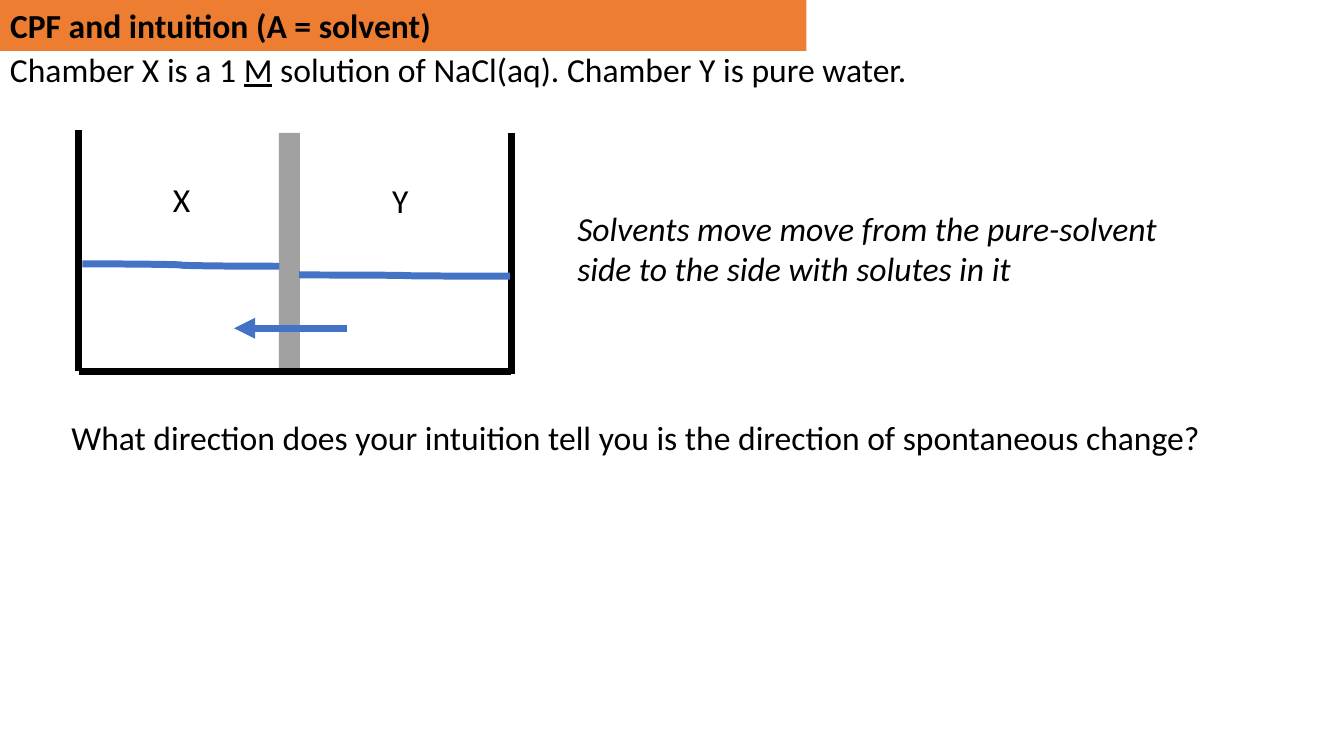
from lxml import etree
from pptx import Presentation
from pptx import util as u
from pptx.dml.color import RGBColor
from pptx.enum import shapes, text
from pptx.oxml.ns import qn

COLOURS = {"ink": "000000", "banner": "ED7D31", "water": "4472C4"}


def write_text(shape, *runs, bold=False, italic=False, underlined=None):
    """Fill a shape with one left-aligned paragraph made of the given runs."""
    frame = shape.text_frame
    frame.word_wrap = True
    frame.auto_size = text.MSO_AUTO_SIZE.NONE
    frame.vertical_anchor = text.MSO_ANCHOR.TOP
    paragraph = frame.paragraphs[0]
    paragraph.alignment = text.PP_ALIGN.LEFT
    for words in runs:
        run = paragraph.add_run()
        run.text = words
        font = run.font
        font.name, font.size = "Calibri", u.Pt(24)
        font.bold, font.italic = bold, italic
        font.underline = words == underlined
        font.color.rgb = RGBColor.from_string(COLOURS["ink"])


def add_title(slide, words, width, height):
    """Turn the title placeholder into the coloured banner."""
    title = slide.shapes.title
    title.left, title.top = u.Cm(0), u.Cm(0)
    title.width, title.height = u.Cm(width), u.Cm(height)
    title.fill.solid()
    title.fill.fore_color.rgb = RGBColor.from_string(COLOURS["banner"])
    write_text(title, words, bold=True)


def add_label(parent, left, top, width, height, *runs, **formatting):
    """Add a text box to a slide or group."""
    box = parent.shapes.add_textbox(u.Cm(left), u.Cm(top), u.Cm(width), u.Cm(height))
    write_text(box, *runs, **formatting)


def add_line(parent, start, end, colour="ink", weight=5, curved=False,
             opacity=None, arrow=False):
    """Add a straight or curved connector, with an optional arrowhead at its start."""
    kind = shapes.MSO_CONNECTOR.CURVE if curved else shapes.MSO_CONNECTOR.STRAIGHT
    points = [u.Cm(value) for value in (*start, *end)]
    connector = parent.shapes.add_connector(kind, *points)
    connector.line.width = u.Pt(weight)
    connector.line.color.rgb = RGBColor.from_string(COLOURS[colour])
    properties = connector._element.spPr
    outline = properties.find(qn("a:ln"))
    if opacity is not None:
        tint = outline.find(".//" + qn("a:srgbClr"))
        etree.SubElement(tint, qn("a:alpha"), val=str(opacity * 1000))
    if arrow:
        etree.SubElement(outline, qn("a:headEnd"), type="triangle")
    etree.SubElement(properties, qn("a:effectLst"))


def add_tank(slide):
    """Draw the two chambers with their membrane and water levels."""
    tank = slide.shapes.add_group_shape()
    left, membrane, right, floor = 1.98, 7.29, 12.88, 9.35
    add_line(tank, (left, 3.28), (left, floor))
    add_line(tank, (right, floor), (left, floor))
    add_line(tank, (right, 3.35), (right, 9.42))
    add_line(tank, (membrane, 3.35), (membrane, 9.42), weight=15, opacity=36)
    add_line(tank, (2.08, 6.65), (7.04, 6.71), "water", curved=True)
    add_line(tank, (7.54, 6.93), (12.85, 6.96), "water", curved=True)
    add_label(tank, 9.63, 4.42, 1.85, 1.28, "Y")
    add_label(tank, 4.11, 4.39, 1.85, 1.28, "X")


def main():
    """Build and save the slide."""
    presentation = Presentation()
    presentation.slide_width, presentation.slide_height = u.Cm(33.87), u.Cm(19.05)
    slide = presentation.slides.add_slide(presentation.slide_layouts[5])
    add_title(slide, "CPF and intuition (A = solvent)", 20.32, 1.28)
    add_tank(slide)
    add_label(slide, 0, 1.1, 31.9, 1.28, "Chamber X is a 1 ", "M",
              " solution of NaCl(aq). Chamber Y is pure water.", underlined="M")
    add_label(slide, 1.55, 10.37, 29.92, 1.28,
              "What direction does your intuition tell you is the direction "
              "of spontaneous change?")
    add_line(slide, (5.9, 8.27), (8.75, 8.27), "water", arrow=True)
    add_label(slide, 14.3, 5.11, 16.38, 2.31,
              "Solvents move move from the pure-solvent side to the side "
              "with solutes in it", italic=True)
    presentation.save("out.pptx")


if __name__ == "__main__":
    main()
